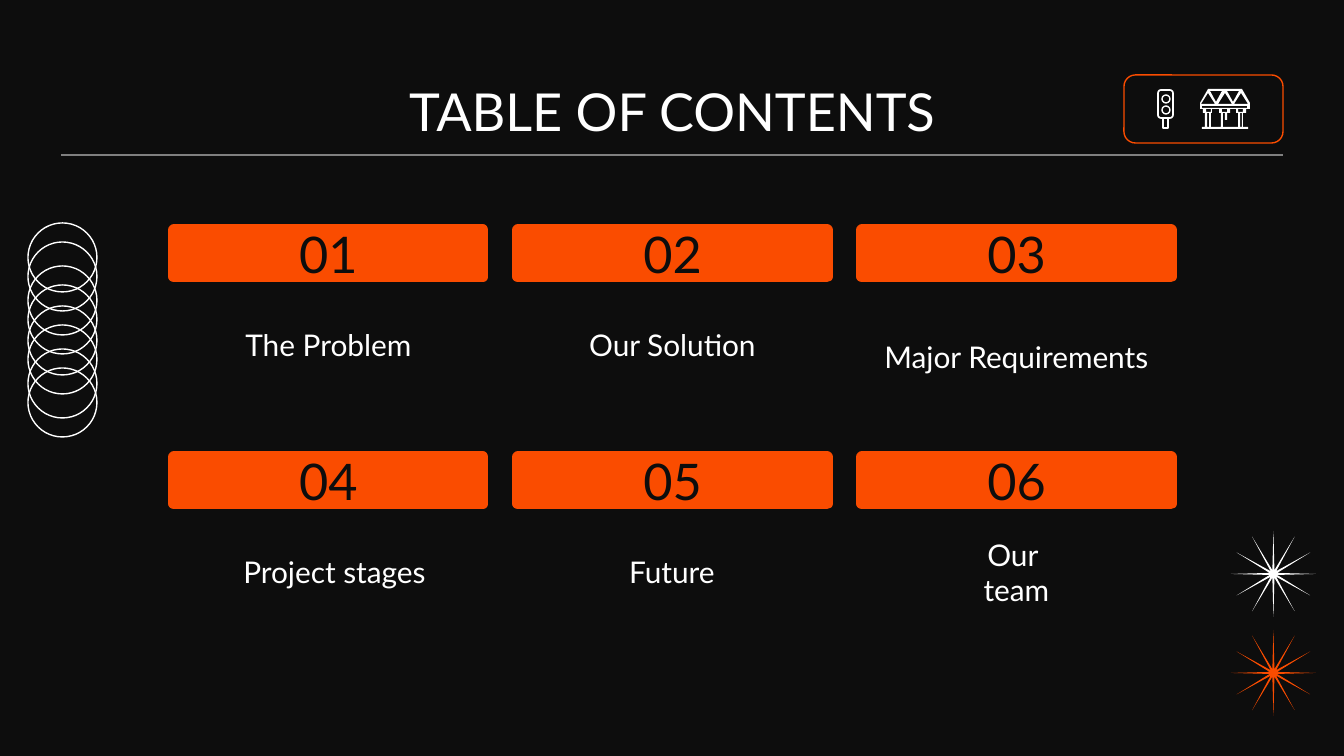
from lxml.etree import SubElement
from pptx import Presentation
from pptx.dml.color import RGBColor
from pptx.enum.shapes import MSO_CONNECTOR, MSO_SHAPE
from pptx.enum.text import MSO_ANCHOR, MSO_AUTO_SIZE, PP_ALIGN
from pptx.oxml.ns import qn
from pptx.util import Pt

PX = 9144000 / 1344
FONT = "Lato"
COLORS = {"dark": "0D0D0D", "white": "FFFFFF", "orange": "FA4C00", "gray": "7F7F7F"}
LABELS = [
    ("The Problem", 174, 282, 309, 94),
    ("Our Solution", 518, 282, 309, 94),
    ("Major Requirements", 862, 294, 309, 94),
    ("Project stages", 180, 543, 309, 60),
    ("Future", 500, 543, 344, 60),
    ("Our \vteam", 862, 527, 309, 94),
]


def px(length):
    """Turn a pixel length into EMU."""
    return round(length * PX)


def color(name):
    """Look up a named colour."""
    return RGBColor.from_string(COLORS[name])


def write(box, text, size, ink="white", anchor=MSO_ANCHOR.TOP):
    """Write centred text into a shape."""
    frame = box.text_frame
    frame.text = text
    frame.word_wrap = True
    frame.auto_size = MSO_AUTO_SIZE.NONE
    frame.vertical_anchor = anchor
    frame.margin_left = frame.margin_right = px(13)
    frame.margin_top = frame.margin_bottom = px(13)
    for para in frame.paragraphs:
        para.alignment = PP_ALIGN.CENTER
        para.line_spacing = 1.0
        for span in para.runs:
            span.font.name = FONT
            span.font.size = Pt(size)
            span.font.color.rgb = color(ink)


def paint(shape, fill=None, line=None, width=0.75):
    """Set the fill and outline of a shape and drop its shadow."""
    shape.shadow.inherit = False
    if fill:
        shape.fill.solid()
        shape.fill.fore_color.rgb = color(fill)
    else:
        shape.fill.background()
    if line:
        shape.line.color.rgb = color(line)
        shape.line.width = Pt(width)
    else:
        shape.line.fill.background()


def add_preset(page, kind, area, adjust=None, **look):
    """Add a painted preset shape."""
    shape = page.shapes.add_shape(kind, *map(px, area))
    if adjust is not None:
        shape.adjustments[0] = adjust
    paint(shape, **look)
    return shape


def add_label(page, text, *area):
    """Add a section name."""
    box = page.shapes.add_textbox(*map(px, area))
    write(box, text, size=16, anchor=MSO_ANCHOR.BOTTOM)


def add_rule(page, left, right, top):
    """Add the thin line below the title."""
    rule = page.shapes.add_connector(
        MSO_CONNECTOR.STRAIGHT, px(left), px(top), px(right), px(top))
    rule.line.color.rgb = color("gray")
    rule.line.width = Pt(0.75)
    SubElement(rule.element.spPr, qn("a:effectLst"))


def add_signal(page):
    """Draw the traffic light icon."""
    add_preset(page, MSO_SHAPE.ROUNDED_RECTANGLE, (1158, 90, 15, 28), 0.2, line="white", width=0.9)
    for top in (95, 106):
        add_preset(page, MSO_SHAPE.OVAL, (1162, top, 8, 8), line="white")
    add_preset(page, MSO_SHAPE.RECTANGLE, (1163, 118, 5, 10), line="white")


def block(left, top, right, bottom):
    """Return the corners of a rectangle."""
    return [(left, top), (right, top), (right, bottom), (left, bottom)]


def add_bridge(page):
    """Draw the bridge icon as an outline with openings."""
    outline = [(1208, 89), (1242, 89), (1250, 103), (1250, 109), (1246, 109),
               (1246, 113), (1243, 113), (1243, 127), (1248, 127), (1248, 129),
               (1202, 129), (1202, 127), (1205, 127), (1205, 113), (1203, 113),
               (1203, 109), (1200, 109), (1200, 103)]
    left_span = [(1212, 109), (1219, 109), (1219, 113), (1221, 113),
                 (1221, 127), (1211, 127), (1211, 113), (1212, 113)]
    right_span = [(1230, 109), (1236, 109), (1236, 113), (1238, 113),
                  (1238, 127), (1223, 127), (1223, 113), (1225, 113),
                  (1225, 120), (1227, 120), (1227, 113), (1230, 113)]
    rising = [[(x, 93), (x + 7, 104), (x - 7, 104)] for x in (1208, 1225, 1241)]
    falling = [[(x - 6, 91), (x + 6, 91), (x, 102)] for x in (1216, 1233)]
    caps = [block(x, 109, x + 5, 112) for x in (1206, 1222, 1238)]
    posts = [block(x, 113, x + 2, 127) for x in (1207, 1240)]
    contours = [outline, left_span, right_span, block(1202, 106, 1247, 108),
                *rising, *falling, *caps, *posts]
    builder = page.shapes.build_freeform(*outline[0], scale=PX)
    for contour in contours:
        if contour is not outline:
            builder.move_to(*contour[0])
        builder.add_line_segments(contour[1:], close=True)
    paint(builder.convert_to_shape(), fill="white")


def add_title(page, text, *area):
    """Place and format the title placeholder."""
    title = page.shapes.title
    title.left, title.top, title.width, title.height = map(px, area)
    write(title, text, size=28)


def main():
    """Build the table of contents slide."""
    deck = Presentation()
    deck.slide_width, deck.slide_height = px(1344), px(756)
    page = deck.slides.add_slide(deck.slide_layouts[5])
    page.background.fill.solid()
    page.background.fill.fore_color.rgb = color("dark")
    for top in (223, 242, 266, 285, 306, 325, 349, 368):
        add_preset(page, MSO_SHAPE.OVAL, (28, top, 69, 69), line="white")
    for top, fill in ((630, "orange"), (531, "white")):
        add_preset(page, MSO_SHAPE.STAR_12_POINT, (1231, top, 85, 86), 0.046, fill=fill)
    add_title(page, "TABLE OF CONTENTS", 106, 66, 1132, 85)
    for index, label in enumerate(LABELS):
        row, column = divmod(index, 3)
        area = (174 + 344 * column, 230 + 227 * row, 309, 47)
        bar = add_preset(page, MSO_SHAPE.RECTANGLE, area, fill="orange", line="orange", width=6)
        write(bar, f"{index + 1:02}", size=27, ink="dark", anchor=MSO_ANCHOR.MIDDLE)
        add_label(page, *label)
    add_signal(page)
    add_bridge(page)
    add_preset(page, MSO_SHAPE.ROUNDED_RECTANGLE, (1124, 75, 159, 68), 0.167, line="orange")
    add_rule(page, 61, 1283, 155)
    deck.save("out.pptx")


if __name__ == "__main__":
    main()
